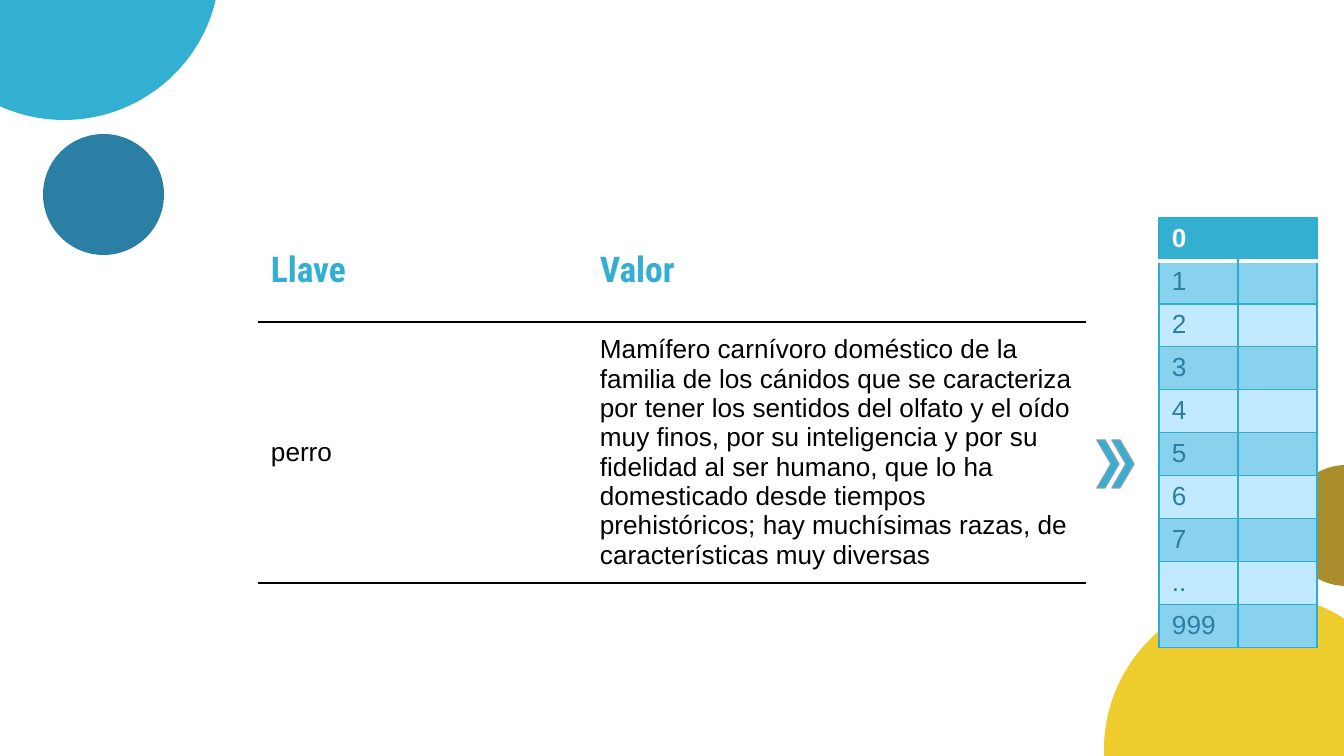
"""Build a slide that pairs a key and value table with a numbered array."""
from lxml import etree
from pptx import Presentation, util as u
from pptx.dml.color import RGBColor
from pptx.enum import shapes, text
from pptx.oxml.ns import qn

PX = 914400 / 134.4
NO_STYLE = "{2D5ABB26-0587-4C30-8999-92F81FD0307C}"
BLUE, DARK_BLUE, GRID = "33AFD1", "2B7EA4", "2EADD0"


def paint(color_format, color):
    color_format.rgb = RGBColor.from_string(color)


def write_cell(cell, words, font, size, color, bold, borders):
    for side, (line_color, points) in borders.items():
        line = etree.SubElement(cell._tc.get_or_add_tcPr(), qn(f"a:ln{side}"), w=str(u.Pt(points)))
        fill = etree.SubElement(line, qn("a:solidFill"))
        etree.SubElement(fill, qn("a:srgbClr"), val=line_color)
    cell.vertical_anchor = text.MSO_ANCHOR.MIDDLE
    cell.margin_left = cell.margin_right = round(13 * PX)
    para = cell.text_frame.paragraphs[0]
    para.font.name, para.font.size, para.font.bold = font, u.Pt(size), bold
    paint(para.font.color, color)
    if words:
        para.add_run().text = words
    else:
        etree.SubElement(para._p, qn("a:endParaRPr"), sz=str(size * 100))


deck = Presentation()
deck.slide_width, deck.slide_height = round(1344 * PX), round(756 * PX)
page = deck.slides.add_slide(deck.slide_layouts[6])

circles = [
    (-92, -192, 312, BLUE),
    (43, 134, 121, DARK_BLUE),
    (1104, 594, 312, "EFCD2F"),
    (1286, 465, 121, "AA8E2D"),
]
for left, top, size, color in circles:
    circle = page.shapes.add_shape(
        shapes.MSO_SHAPE.OVAL, *(round(n * PX) for n in (left, top, size, size)))
    circle.shadow.inherit = False
    circle.fill.solid()
    paint(circle.fill.fore_color, color)
    circle.line.fill.background()

tables = []
for left, widths, heights in [(258, (329, 499), (104, 261)), (1159, (79, 79), (43,) * 10)]:
    frame = page.shapes.add_table(
        len(heights), len(widths),
        *(round(n * PX) for n in (left, 218, sum(widths), sum(heights))))
    table = frame.table
    table._tbl.tblPr.find(qn("a:tableStyleId")).text = NO_STYLE
    table.first_row = table.horz_banding = False
    for column, width in zip(table.columns, widths):
        column.width = round(width * PX)
    for row, height in zip(table.rows, heights):
        row.height = round(height * PX)
    tables.append(table)
dictionary, array = tables

entries = [
    ("Llave", "Valor"),
    ("perro", "Mamífero carnívoro doméstico de la familia de los cánidos que se caracteriza "
     "por tener los sentidos del olfato y el oído muy finos, por su inteligencia y por su "
     "fidelidad al ser humano, que lo ha domesticado desde tiempos prehistóricos; hay "
     "muchísimas razas, de características muy diversas"),
]
styles = [("Roboto Condensed", 19, BLUE, True), ("Arial", 14, "000000", False)]
for row, entry, style in zip(dictionary.rows, entries, styles):
    for cell, words in zip(row.cells, entry):
        write_cell(cell, words, *style, {"B": ("000000", 0.75)})
        cell.margin_top = cell.margin_bottom = round(13 * PX)

labels = ["0", "1", "2", "3", "4", "5", "6", "7", "..", "999"]
for index, label in enumerate(labels):
    header = index == 0
    band = BLUE if header else ("C1E9FF", "88D2EE")[index % 2]
    for side, words in enumerate((label, "")):
        cell = array.cell(index, side)
        borders = {edge: (GRID, 0.75) for edge in "LRTB"}
        if header:
            del borders["RL"[side]]
            borders["B"] = ("FFFFFF", 2)
        elif index == 1:
            borders["T"] = ("FFFFFF", 2)
        write_cell(cell, words, "Arial", 14, "FFFFFF" if header else DARK_BLUE, header, borders)
        cell.vertical_anchor = text.MSO_ANCHOR.TOP
        cell.margin_top = cell.margin_bottom = round(6 * PX)
        cell.fill.solid()
        paint(cell.fill.fore_color, band)

for left in (1097, 1112):
    outline = page.shapes.build_freeform(left, 440, scale=PX)
    outline.add_line_segments(
        [(left + x, 440 + y) for x, y in [(14, 24), (0, 48), (8, 48), (22, 24), (8, 0)]])
    chevron = outline.convert_to_shape()
    chevron.shadow.inherit = False
    chevron.fill.solid()
    paint(chevron.fill.fore_color, BLUE)
    paint(chevron.line.color, "869FB2")
    chevron.line.width = u.Pt(0.75)

deck.save("out.pptx")
